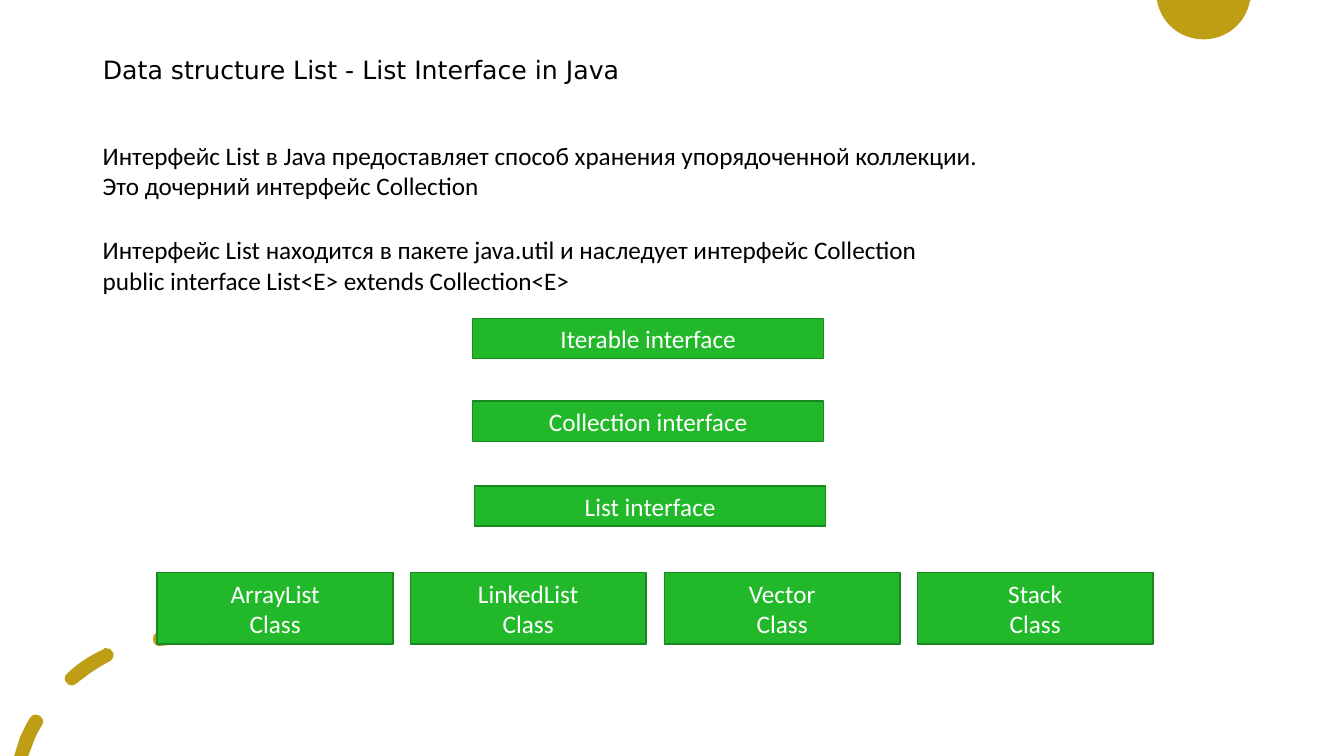
from dataclasses import dataclass

from pptx import Presentation
from pptx import util as u
from pptx.dml.color import RGBColor
from pptx.enum import shapes, text
from pptx.oxml import ns, xmlchemy

PX = 9144  # EMU in one px, 100 px to the inch
HIGH = 750 * PX


@dataclass(frozen=True)
class Theme:
    gold: str = "BE9E15"
    green: str = "21B92A"
    edge: str = "18891F"
    ink: str = "000000"
    white: str = "FFFFFF"
    head: str = "DejaVu Sans"
    body: str = "Calibri"
    size: int = 18


@dataclass(frozen=True)
class Box:
    left: int
    top: int
    width: int
    height: int
    lines: tuple[str, ...]


@dataclass(frozen=True)
class Path:
    """A start point, then steps: two numbers for a line, six for a curve."""
    start: tuple[int, int]
    steps: tuple[tuple[int, ...], ...]


THEME = Theme()
TITLE = Box(92, 40, 1139, 61, ("Data structure List - List Interface in Java",))
NOTES = (
    Box(92, 134, 1066, 71, (
        "Интерфейс List в Java предоставляет способ хранения упорядоченной коллекции.",
        "Это дочерний интерфейс Collection")),
    Box(92, 228, 1103, 71, (
        "Интерфейс List находится в пакете java.util и наследует интерфейс Collection",
        "public interface List<E> extends Collection<E>")),
)
FACES = (
    Box(469, 316, 348, 40, ("Iterable interface",)),
    Box(469, 398, 348, 40, ("Collection interface",)),
    Box(471, 482, 348, 40, ("List interface",)),
)
KINDS = tuple(
    Box(round(156 + i * 754 / 3), 568, 234, 71, (name, "Class"))
    for i, name in enumerate(("ArrayList", "LinkedList", "Vector", "Stack"))
)
DISC = (Path((1148, 0), (
    (1241, 0), (1240, 1), (1236, 23, 1217, 39, 1194, 39),
    (1171, 39, 1152, 23, 1148, 1))),)
DASHES = (
    Path((36, 709), (
        (34, 708, 31, 710, 30, 712), (26, 718, 23, 725, 20, 731),
        (14, 750), (28, 750), (33, 737), (35, 731, 38, 725, 42, 719),
        (44, 716, 42, 711, 39, 710), (38, 709, 37, 709, 36, 709))),
    Path((105, 643), (
        (104, 643, 103, 643, 103, 644), (90, 650, 77, 658, 67, 668),
        (64, 670, 63, 675, 66, 677), (67, 679, 69, 680, 71, 680),
        (73, 680, 74, 679, 76, 678), (86, 670, 97, 662, 109, 656),
        (112, 654, 114, 650, 112, 647), (111, 644, 108, 643, 105, 643))),
    Path((179, 625), (
        (172, 625, 165, 626, 158, 627), (154, 627, 151, 631, 152, 635),
        (152, 638, 155, 641, 158, 641), (173, 639, 186, 639, 199, 640),
        (203, 641, 207, 638, 207, 635), (208, 631, 205, 627, 201, 627),
        (194, 626, 186, 625, 179, 625))),
)


def paint(shape, fill: str, edge: str | None = None) -> None:
    shape.shadow.inherit = False
    shape.fill.solid()
    shape.fill.fore_color.rgb = RGBColor.from_string(fill)
    if edge:
        shape.line.color.rgb = RGBColor.from_string(edge)
        shape.line.width = u.Pt(1)
    else:
        shape.line.fill.background()


def write(frame, lines: tuple[str, ...], font: str, ink: str, align, anchor) -> None:
    frame.word_wrap = True
    frame.auto_size = text.MSO_AUTO_SIZE.NONE
    frame.vertical_anchor = anchor
    for i, line in enumerate(lines):
        para = frame.add_paragraph() if i else frame.paragraphs[0]
        para.alignment = align
        run = para.add_run()
        run.text = line
        run.font.name = font
        run.font.size = u.Pt(THEME.size)
        run.font.color.rgb = RGBColor.from_string(ink)


def place(box: Box) -> tuple[int, ...]:
    return tuple(n * PX for n in (box.left, box.top, box.width, box.height))


def bend(shape, paths: tuple[Path, ...]) -> None:
    """Fold the three lines that stand for each curve into one cubic curve."""
    lines = iter(list(shape._element.iter(ns.qn("a:lnTo"))))
    for step in (step for path in paths for step in path.steps):
        line = next(lines)
        if len(step) == 2:
            continue
        curve = line.makeelement(ns.qn("a:cubicBezTo"))
        line.addprevious(curve)
        for part in (line, next(lines), next(lines)):
            curve.append(part[0])
            part.getparent().remove(part)


def draw(slide, paths: tuple[Path, ...]) -> None:
    pen = slide.shapes.build_freeform(*paths[0].start, scale=PX)
    for i, path in enumerate(paths):
        if i:
            pen.move_to(*path.start)
        knots = [step[j:j + 2] for step in path.steps for j in range(0, len(step), 2)]
        pen.add_line_segments(knots, close=True)
    shape = pen.convert_to_shape()
    bend(shape, paths)
    paint(shape, THEME.gold)


def head(slide, box: Box) -> None:
    title = slide.shapes.title
    title.left, title.top, title.width, title.height = place(box)
    write(title.text_frame, box.lines, THEME.head, THEME.ink,
          text.PP_ALIGN.LEFT, text.MSO_ANCHOR.MIDDLE)
    title.text_frame.paragraphs[0].line_spacing = 0.9


def note(slide, box: Box) -> None:
    shape = slide.shapes.add_textbox(*place(box))
    write(shape.text_frame, box.lines, THEME.body, THEME.ink,
          text.PP_ALIGN.LEFT, text.MSO_ANCHOR.TOP)
    shape.text_frame.auto_size = text.MSO_AUTO_SIZE.SHAPE_TO_FIT_TEXT


def block(slide, box: Box) -> None:
    shape = slide.shapes.add_shape(shapes.MSO_SHAPE.RECTANGLE, *place(box))
    paint(shape, THEME.green, THEME.edge)
    write(shape.text_frame, box.lines, THEME.body, THEME.white,
          text.PP_ALIGN.CENTER, text.MSO_ANCHOR.MIDDLE)


def main() -> None:
    deck = Presentation()
    deck.slide_width, deck.slide_height = HIGH * 16 // 9, HIGH
    slide = deck.slides.add_slide(deck.slide_layouts[5])
    draw(slide, DISC)
    draw(slide, DASHES)
    head(slide, TITLE)
    for box in NOTES:
        note(slide, box)
    for box in FACES + KINDS:
        block(slide, box)
    deck.save("out.pptx")


if __name__ == "__main__":
    main()
